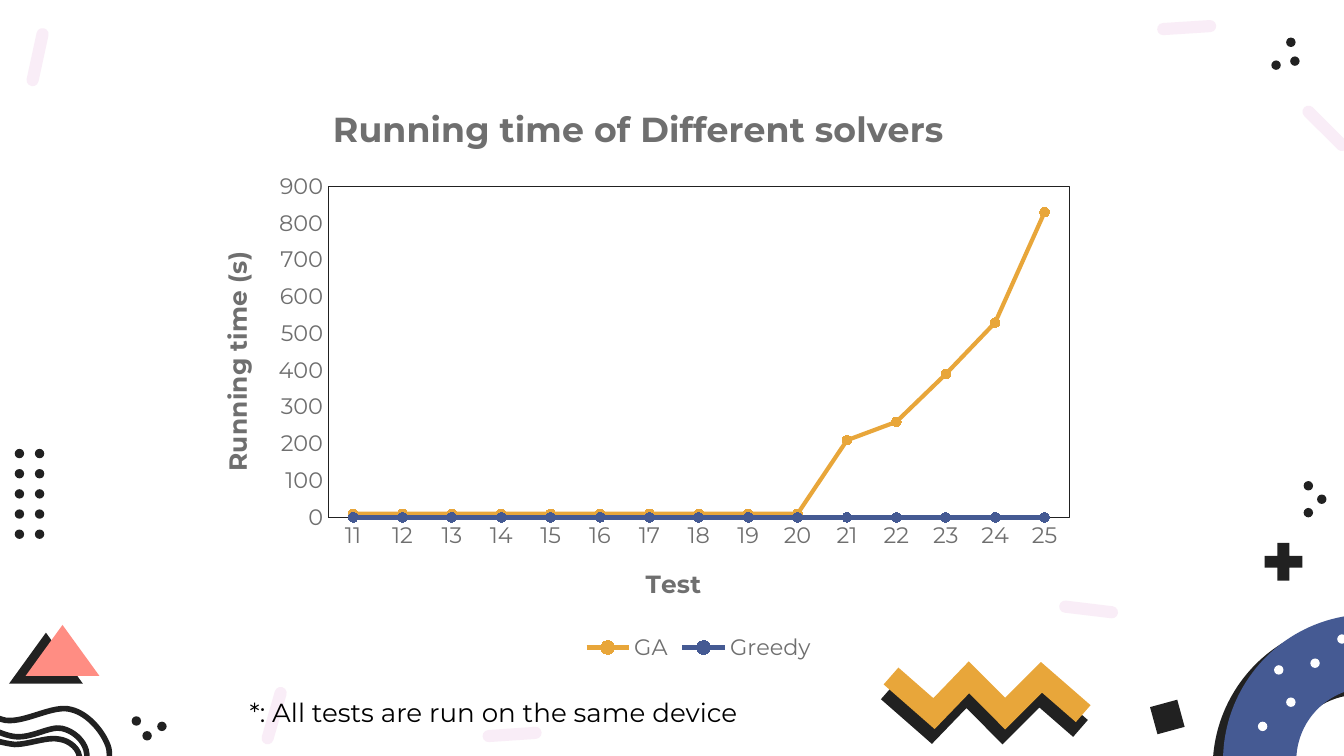
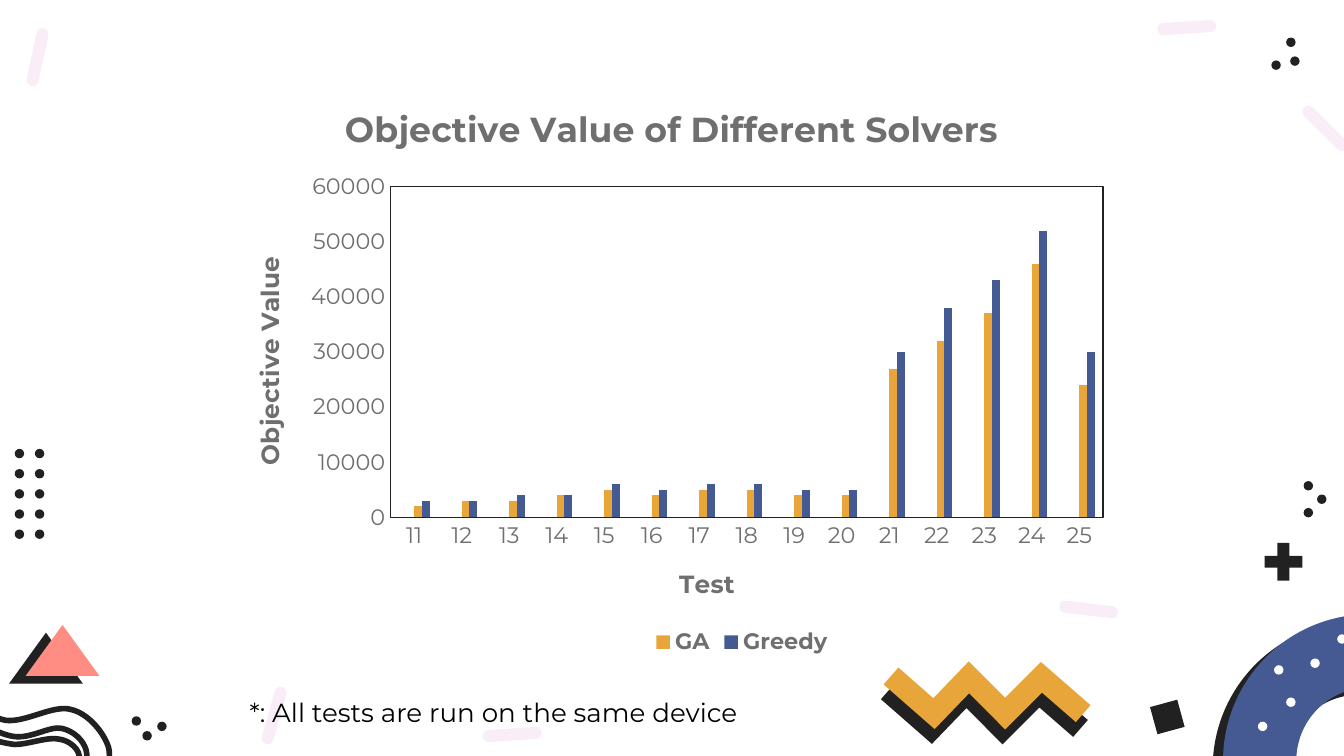
from lxml import etree
from pptx import Presentation
from pptx.chart.data import CategoryChartData
from pptx.dml.color import RGBColor
from pptx.enum.chart import XL_CHART_TYPE, XL_LEGEND_POSITION, XL_MARKER_STYLE, XL_TICK_MARK
from pptx.enum.shapes import MSO_SHAPE
from pptx.enum.text import MSO_AUTO_SIZE
from pptx.oxml.ns import qn
from pptx.util import Inches, Pt

LINE, COLUMN = XL_CHART_TYPE.LINE_MARKERS, XL_CHART_TYPE.COLUMN_CLUSTERED
BOTTOM, NO_TICK, CIRCLE = XL_LEGEND_POSITION.BOTTOM, XL_TICK_MARK.NONE, XL_MARKER_STYLE.CIRCLE
OVAL, RECT, PILL = MSO_SHAPE.OVAL, MSO_SHAPE.RECTANGLE, MSO_SHAPE.ROUNDED_RECTANGLE
DONUT, TRIANGLE, PLUS = MSO_SHAPE.DONUT, MSO_SHAPE.ISOSCELES_TRIANGLE, MSO_SHAPE.MATH_PLUS
GROW = MSO_AUTO_SIZE.SHAPE_TO_FIT_TEXT

COLORS = {"ink": "212121", "blue": "455A93", "gold": "E8A63A", "coral": "FF8D83",
          "blush": "FFC5BD", "pink": "F9EDF7", "white": "FFFFFF", "gray": "6F6F6F",
          "black": "000000"}
FONT = "Montserrat"
COLUMNS = 100  # square grid cells across the slide
CHART_W, CHART_H = 66.7, 44.4

# Wavy rings: a start point, then two handles and an end point per curve
RINGS = [
    [(2.7, 61.2), (4.3, 60.9), (5.9, 60.3), (6.8, 59.4), (7.7, 58.5), (8.3, 56.8), (8.1, 55.7),
     (7.8, 54.6), (6.6, 53.1), (5.3, 52.8), (4, 52.4), (1.9, 53.8), (0.4, 53.6),
     (-1.1, 53.3), (-2.6, 51.6), (-3.8, 51.3), (-5.1, 51), (-6.3, 51.2), (-7.2, 51.9),
     (-8, 52.6), (-8.8, 54.2), (-8.8, 55.5), (-8.8, 56.7), (-8.2, 58.4), (-7.2, 59.4),
     (-6.2, 60.4), (-4.5, 61.1), (-2.8, 61.4), (-1.2, 61.7), (1.1, 61.5), (2.7, 61.2)],
    [(2.8, 60), (4, 59.8), (5.2, 59.2), (5.8, 58.5), (6.4, 57.8), (6.6, 56.6), (6.4, 55.8),
     (6.2, 55.1), (5.5, 54.4), (4.6, 54.2), (3.7, 54), (2.3, 55), (1, 54.8),
     (-0.3, 54.6), (-2.1, 53.4), (-3.2, 53.2), (-4.3, 52.9), (-5.1, 52.9), (-5.7, 53.3),
     (-6.3, 53.8), (-6.8, 54.9), (-6.8, 55.8), (-6.7, 56.7), (-6.4, 57.8), (-5.5, 58.5),
     (-4.7, 59.2), (-3.2, 59.8), (-1.8, 60), (-0.4, 60.2), (1.5, 60.2), (2.8, 60)],
    [(-0.8, 59.6), (0.6, 59.7), (3.2, 59.5), (4.3, 58.9), (5.4, 58.4), (5.9, 57.2), (5.9, 56.5),
     (6, 55.8), (5.2, 55.1), (4.4, 55), (3.6, 54.8), (2.1, 55.4), (1.1, 55.4),
     (0.2, 55.3), (-0.7, 55), (-1.5, 54.8), (-2.4, 54.6), (-3.4, 54), (-4.1, 54),
     (-4.8, 54), (-5.3, 54.4), (-5.6, 54.9), (-5.9, 55.3), (-6.1, 56.2), (-5.9, 56.8),
     (-5.7, 57.4), (-5.1, 58.1), (-4.3, 58.5), (-3.4, 59), (-2.2, 59.5), (-0.8, 59.6)],
]
ZIGZAG = [(80.6, 53.1), (77.5, 50.4), (74.8, 53.1), (72.1, 50.4), (69.5, 53.1), (66.3, 50.3)]


def rgb(name):
    return RGBColor.from_string(COLORS[name])


def sub(parent, tag, **attrs):
    return etree.SubElement(parent, qn(tag), attrs)


def bend(sp):
    """Turn each three line segments of a freeform into one cubic curve."""
    segments = list(sp.element.iter(qn("a:lnTo")))
    for i in range(0, len(segments), 3):
        curve = etree.Element(qn("a:cubicBezTo"))
        segments[i].addprevious(curve)
        for segment in segments[i:i + 3]:
            curve.append(segment[0])
            segment.getparent().remove(segment)


def set_font(font, size, color="gray", bold=False, name=FONT):
    font.name, font.size, font.bold = name, Pt(size), bold
    font.color.rgb = rgb(color)


def set_layout(parent, x, y, w=None, h=None):
    """Place a chart part by grid cells counted from the chart's corner."""
    for old in parent.findall(qn("c:layout")):
        parent.remove(old)
    layout = etree.Element(qn("c:layout"))
    leading = [qn(tag) for tag in ("c:tx", "c:legendPos", "c:legendEntry")]
    parent.insert(sum(child.tag in leading for child in parent), layout)
    manual = sub(layout, "c:manualLayout")
    if w:
        sub(manual, "c:layoutTarget", val="inner")
    sub(manual, "c:xMode", val="edge")
    sub(manual, "c:yMode", val="edge")
    for tag, cells, whole in (("c:x", x, CHART_W), ("c:y", y, CHART_H),
                              ("c:w", w, CHART_W), ("c:h", h, CHART_H)):
        if cells is not None:
            sub(manual, tag, val=str(cells / whole))


class Deck:
    """The presentation's style and its current slide."""

    def __init__(self):
        self.prs = Presentation()
        self.prs.slide_width, self.prs.slide_height = Inches(10), Inches(5.625)
        self.cell = self.prs.slide_width // COLUMNS
        self.layout = self.prs.slide_layouts[6]

    def add_slide(self):
        self.slide = self.prs.slides.add_slide(self.layout)

    def emu(self, *lengths):
        return [round(length * self.cell) for length in lengths]

    def shape(self, kind, x, y, w, h, color, rotation=0, shadow=None):
        sp = self.slide.shapes.add_shape(kind, *self.emu(x, y, w, h))
        sp.rotation = rotation
        sp.shadow.inherit = False
        sp.fill.solid()
        sp.fill.fore_color.rgb = rgb(color)
        sp.line.fill.background()
        if shadow:
            distance, angle = shadow
            outer = sub(sp.element.spPr.find(qn("a:effectLst")), "a:outerShdw", blurRad="0",
                        dist=str(Pt(distance)), dir=str(angle * 60000), algn="bl",
                        rotWithShape="0")
            sub(outer, "a:srgbClr", val=COLORS["ink"])
        return sp

    def dots(self, color, *places):
        for x, y in places:
            self.shape(OVAL, x, y, 0.7, 0.7, color)

    def outline(self, points, color, width, close=False):
        start, *rest = [self.emu(*point) for point in points]
        builder = self.slide.shapes.build_freeform(*start)
        builder.add_line_segments(rest, close=close)
        sp = builder.convert_to_shape()
        sp.shadow.inherit = False
        sp.fill.background()
        sp.line.color.rgb = rgb(color)
        sp.line.width = Pt(width)
        sub(sp.element.spPr.find(qn("a:ln")), "a:miter", lim="800000")
        return sp

    def text(self, x, y, w, h, text, size, color):
        box = self.slide.shapes.add_textbox(*self.emu(x, y, w, h))
        tf = box.text_frame
        tf.word_wrap, tf.auto_size = True, GROW
        p = tf.paragraphs[0]
        p.text = text
        set_font(p.font, size, color)

    def title(self, title, text, size, x, y):
        p = title.text_frame.paragraphs[0]
        p.text = text
        set_font(p.font, size, bold=True)
        set_layout(title.element, x, y)

    def chart(self, kind, x, title, axis_title, series, top, step, places, bold_legend=False):
        data = CategoryChartData()
        data.categories = [str(test) for test in range(11, 26)]
        for name, _, values in series:
            data.add_series(name, values)
        chart = self.slide.shapes.add_chart(
            kind, *self.emu(x, 5.9, CHART_W, CHART_H), data).chart
        set_font(chart.font, 10, "ink", name="Arial")
        plot = chart.plots[0]
        plot.vary_by_categories = False

        # Titles and axes
        chart.has_title = True
        self.title(chart.chart_title, title, 18.6, *places["title"])
        chart.chart_title.include_in_layout = False
        cat, val = chart.category_axis, chart.value_axis
        self.title(cat.axis_title, "Test", 13.3, 33.5, 35.9)
        self.title(val.axis_title, axis_title, 13.3, *places["value"])
        body = next(val.axis_title.element.iter(qn("a:bodyPr")))
        body.set("rot", "-5400000")
        body.set("vert", "horz")
        for axis in (cat, val):
            axis.has_major_gridlines = False
            axis.major_tick_mark = axis.minor_tick_mark = NO_TICK
            set_font(axis.tick_labels.font, 12)
        cat.format.line.color.rgb = rgb("ink")
        cat.format.line.width = Pt(0.75)
        val.format.line.fill.background()
        val.minimum_scale, val.maximum_scale, val.major_unit = 0, top, step

        # Framed plot area
        area = next(chart.element.iter(qn("c:plotArea")))
        set_layout(area, *places["plot"])
        frame = sub(area, "c:spPr")
        sub(frame, "a:noFill")
        line = sub(frame, "a:ln", w=str(Pt(0.75)))
        sub(sub(line, "a:solidFill"), "a:srgbClr", val=COLORS["ink"])

        # Series
        for ser, (_, color, _) in zip(plot.series, series):
            fill = ser.format.fill
            if kind == LINE:
                ser.smooth = False
                ser.format.line.color.rgb = rgb(color)
                ser.format.line.width = Pt(2.25)
                ser.marker.style, ser.marker.size = CIRCLE, 5
                ser.marker.format.line.color.rgb = rgb(color)
                fill = ser.marker.format.fill
            fill.solid()
            fill.fore_color.rgb = rgb(color)
        if kind == COLUMN:
            plot.gap_width, plot.overlap = 219, 0

        # Legend, without the series that hold no values
        chart.has_legend = True
        chart.legend.position = BOTTOM
        chart.legend.include_in_layout = False
        set_font(chart.legend.font, 12, bold=bold_legend)
        legend = next(chart.element.iter(qn("c:legend")))
        empty = [i for i, (_, _, values) in enumerate(series)
                 if all(value is None for value in values)]
        for position, i in enumerate(empty, start=1):
            entry = etree.Element(qn("c:legendEntry"))
            sub(entry, "c:idx", val=str(i))
            sub(entry, "c:delete", val="1")
            legend.insert(position, entry)
        set_layout(legend, *places["legend"])

    def decorate(self):
        """Draw the shared ornaments and hand them to the layout."""
        # Dotted ring and wavy rings in the bottom corners
        self.shape(DONUT, 91, 45.7, 21.8, 21.8, "blue", shadow=(6.8, 145))
        self.dots("white", (93.6, 53.7), (95.7, 51.9), (94.8, 49.5), (97.5, 49), (99.5, 47.2))
        for ring in RINGS:
            bend(self.outline(ring, "ink", 3, close=True))

        # Triangle, plus and square
        self.shape(TRIANGLE, 1.9, 46.5, 5.5, 3.8, "coral", shadow=(9.8, 155))
        self.shape(PLUS, 93.6, 39.9, 3.8, 3.8, "ink")
        self.shape(RECT, 85.8, 52.3, 2.1, 2.1, "ink", 164.7)

        # Loose dots and the dot grid
        self.dots("ink", (97, 37.8), (97, 35.8), (98, 36.8), (9.8, 53.3), (11.7, 53.7),
                  (10.6, 54.4), (94.6, 4.5), (95.7, 2.8), (96, 4.2))
        self.dots("ink", *((1.1 + 1.5 * i, 39.4 - 1.5 * j) for i in range(2) for j in range(5)))

        # Pale dashes
        for x, y, angle in ((18.2, 52.8, 106.1), (35.9, 54.2, 176.1), (78.8, 44.9, 6.9),
                            (96.4, 9.1, 45), (0.6, 3.8, 282.2), (86.1, 1.6, 356.4)):
            self.shape(PILL, x, y, 4.4, 0.9, "pink", angle).adjustments[0] = 0.5

        # Zigzag over its shadow
        self.outline([(x - 0.2, y + 1.1) for x, y in ZIGZAG], "ink", 12)
        self.outline(ZIGZAG, "gold", 12)

        for sp in list(self.slide.shapes):
            self.layout.shapes.element.append(sp.element)


def main():
    deck = Deck()
    note = (17.6, 51.3, 44.6, 3.4, "*: All tests are run on the same device", 14, "black")

    # Slide 1: running time
    deck.add_slide()
    deck.decorate()
    deck.chart(
        LINE, 14.2, "Running time of Different solvers", "Running time (s)",
        [("GA", "gold", [10] * 10 + [210, 260, 390, 530, 830]),
         ("Greedy", "blue", [0] * 15)],
        900, 100,
        {"title": (10.1, 1.4), "value": (1.85, 12.5),
         "plot": (10.24, 7.98, 55.13, 24.63), "legend": (28.9, 40.9)})
    deck.text(*note)

    # Slide 2: objective value
    deck.add_slide()
    deck.chart(
        COLUMN, 16.7, "Objective Value of Different Solvers", "Objective Value",
        [("Series 1", "coral", [None] * 15),
         ("Series 2", "blush", [None] * 15),
         ("GA", "gold", [2000, 3000, 3000, 4000, 5000, 4000, 5000, 5000, 4000, 4000,
                         27000, 32000, 37000, 46000, 24000]),
         ("Greedy", "blue", [3000, 3000, 4000, 4000, 6000, 5000, 6000, 6000, 5000, 5000,
                             30000, 38000, 43000, 52000, 30000])],
        60000, 10000,
        {"title": (8.5, 1.4), "value": (1.75, 12.85),
         "plot": (12.36, 7.98, 53.02, 24.63), "legend": (31.6, 40.5)},
        bold_legend=True)
    deck.text(*note)

    deck.prs.save("out.pptx")


if __name__ == "__main__":
    main()
